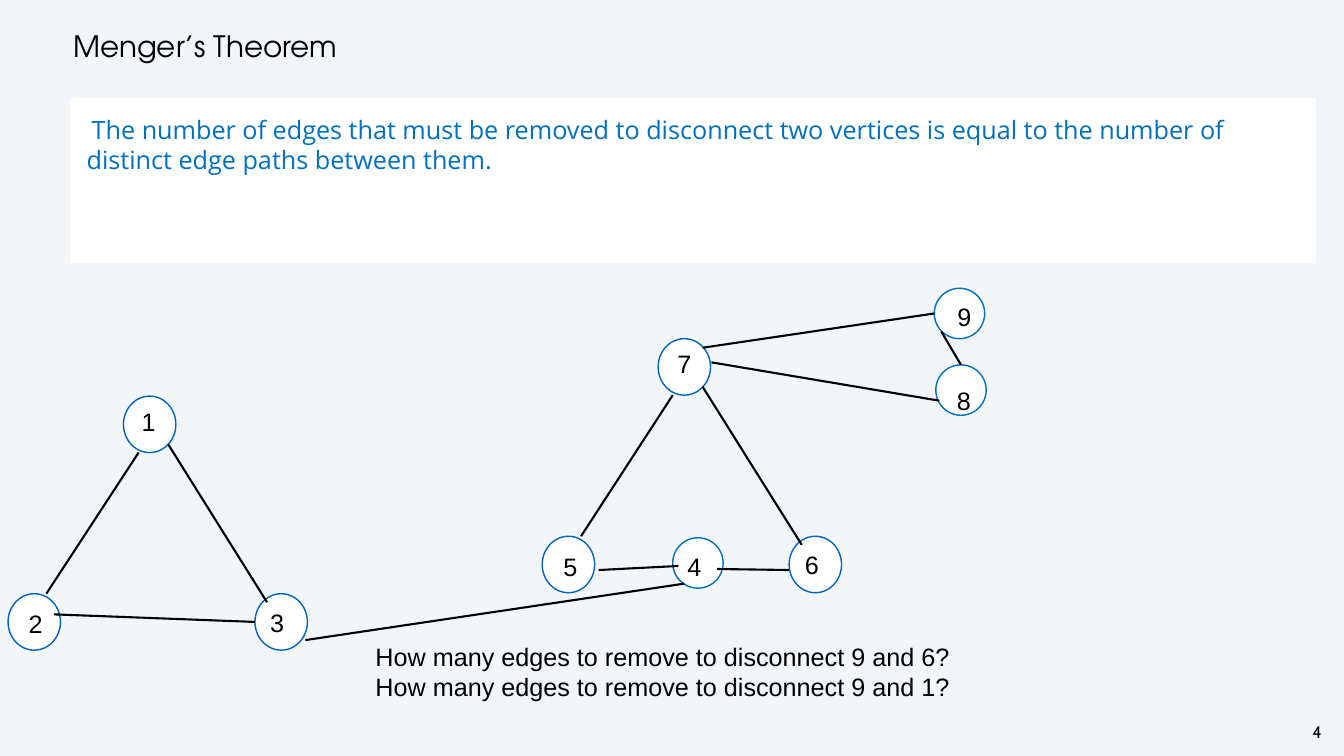
"""Build a slide on Menger's theorem with a nine-vertex graph."""
from lxml import etree
from pptx import Presentation
from pptx.dml.color import RGBColor
from pptx.enum import shapes, text
from pptx.oxml import ns
from pptx.util import Inches, Pt


def paint(color_format, value):
    color_format.rgb = RGBColor.from_string(value)


def add_text(box, lines, size, font, color="000000", inset=0.06,
             anchor=text.MSO_ANCHOR.MIDDLE, spacing=None, before=0):
    shape = slide.shapes.add_textbox(*map(Inches, box))
    frame = shape.text_frame
    frame.word_wrap = True
    frame.vertical_anchor = anchor
    frame.margin_left = frame.margin_right = Inches(inset)
    frame.margin_top = frame.margin_bottom = Inches(inset)
    frame.text = "\n".join(lines)
    for paragraph in frame.paragraphs:
        paragraph.space_before = Pt(before)
        if spacing:
            paragraph.line_spacing = Pt(spacing)
        for run in paragraph.runs:
            run.font.size = Pt(size)
            run.font.name = font
            paint(run.font.color, color)
    return shape


presentation = Presentation()
presentation.slide_width = Inches(26.67)
presentation.slide_height = Inches(15)
slide = presentation.slides.add_slide(presentation.slide_layouts[6])
slide.background.fill.solid()
paint(slide.background.fill.fore_color, "F3F6F9")

page_number = add_text((25.92, 14.29, 0.43, 0.47), ["4"], 24, "Cabin", inset=0.04,
                       anchor=text.MSO_ANCHOR.TOP, spacing=28)
page_number.text_frame.word_wrap = False
page_number.text_frame.paragraphs[0].alignment = text.PP_ALIGN.CENTER

add_text((1.39, 0.42, 22.62, 0.99), ["Menger’s Theorem"], 42, "TeX Gyre Adventor",
         spacing=50, before=3)

theorem = add_text(
    (1.39, 1.94, 24.72, 3.28),
    ["The number of edges that must be removed to disconnect two vertices "
     "is equal to the number of distinct edge paths between them."],
    36, "Open Sans", "0070C0", inset=0.33, anchor=text.MSO_ANCHOR.TOP,
    spacing=43, before=18)
theorem.fill.solid()
paint(theorem.fill.fore_color, "FFFFFF")
properties = theorem.text_frame.paragraphs[0]._p.get_or_add_pPr()
properties.set("marL", "0")
properties.set("indent", str(Inches(0.1)))

LARGE = (1.04, 1.12, "0365C0")
SMALL = (1, 1, "0070C0")
vertices = [
    ("1", 2.45, 7.86, LARGE, 2.75, 8),
    ("2", 0.16, 11.78, LARGE, 0.51, 12.01),
    ("3", 5.06, 11.78, LARGE, 5.3, 11.98),
    ("4", 13.35, 10.67, SMALL, 13.58, 10.87),
    ("5", 10.76, 10.64, LARGE, 11.12, 10.87),
    ("6", 15.66, 10.64, LARGE, 15.91, 10.84),
    ("7", 13.06, 6.72, LARGE, 13.38, 6.86),
    ("8", 18.57, 7.24, SMALL, 18.93, 7.59),
    ("9", 18.54, 5.72, SMALL, 18.94, 5.91),
]
for name, left, top, (width, height, color), label_left, label_top in vertices:
    vertex = slide.shapes.add_shape(shapes.MSO_SHAPE.OVAL, Inches(left), Inches(top),
                                    Inches(width), Inches(height))
    vertex.shadow.inherit = False
    vertex.fill.solid()
    paint(vertex.fill.fore_color, "FFFFFF")
    paint(vertex.line.color, color)
    vertex.line.width = Pt(2)

edges = [
    (2.75, 8.98, 0.92, 11.78),
    (3.34, 8.82, 5.3, 11.95),
    (1.07, 12.19, 5.06, 12.34),
    (6.06, 12.7, 13.58, 11.58),
    (13.35, 7.84, 11.53, 10.64),
    (13.94, 7.67, 15.91, 10.81),
    (11.88, 11.31, 13.46, 11.23),
    (14.23, 11.29, 15.66, 11.31),
    (18.64, 7.95, 14.12, 7.19),
    (18.54, 6.22, 13.94, 6.9),
    (18.68, 6.58, 19.07, 7.24),
]
for ends in edges:
    edge = slide.shapes.add_connector(shapes.MSO_CONNECTOR.STRAIGHT, *map(Inches, ends))
    paint(edge.line.color, "000000")
    edge.line.width = Pt(3)
    etree.SubElement(edge._element.spPr, ns.qn("a:effectLst"))

for name, left, top, style, label_left, label_top in vertices:
    add_text((label_left, label_top, 1.08, 0.72), [name], 36, "Arial")

add_text((7.39, 12.66, 17.86, 1.32),
         [f"How many edges to remove to disconnect 9 and {other}?" for other in (6, 1)],
         36, "Arial")

presentation.save("out.pptx")
